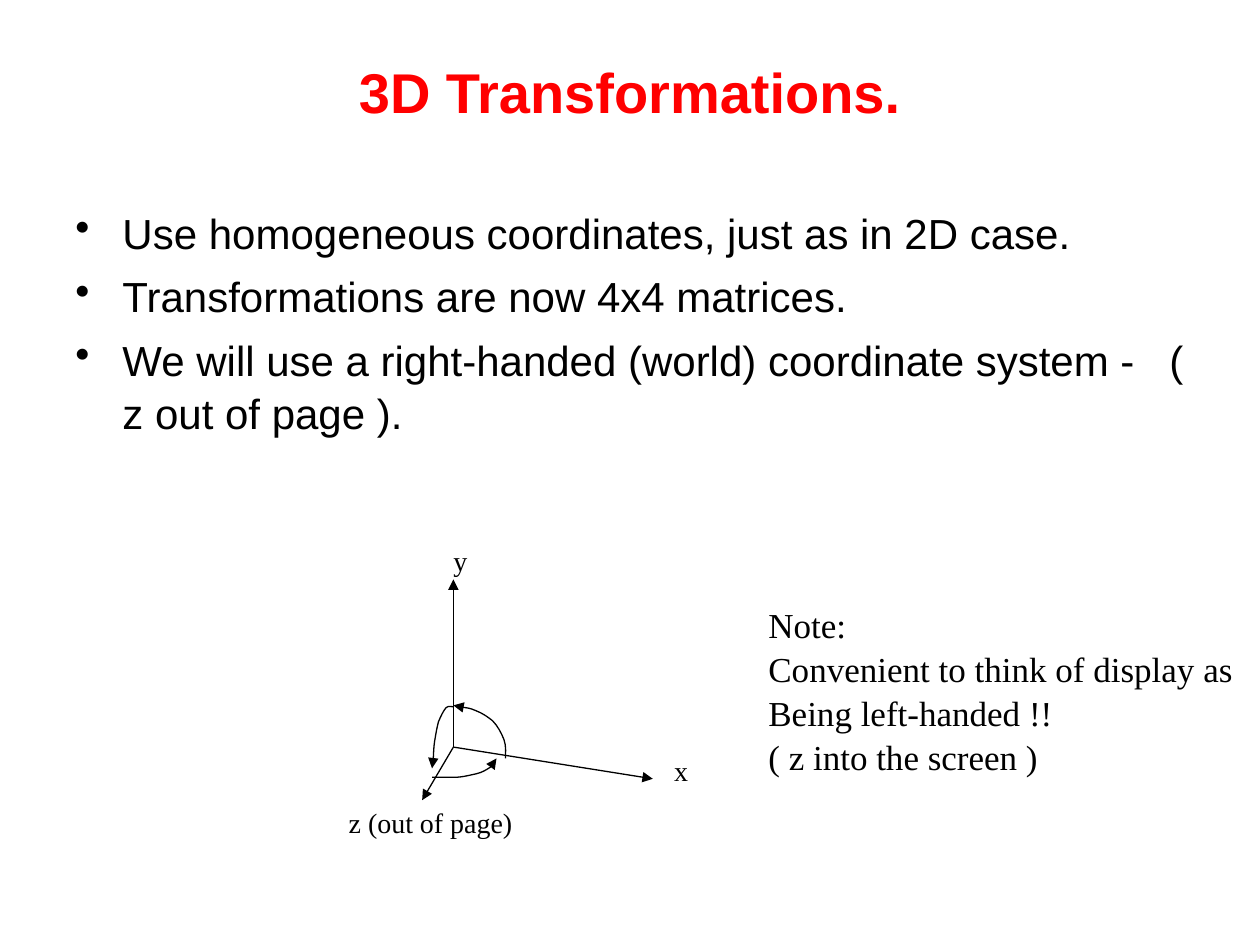
from lxml.etree import SubElement
from pptx import Presentation
from pptx.dml.color import RGBColor
from pptx.enum.shapes import MSO_CONNECTOR as Connector
from pptx.enum.text import MSO_ANCHOR as Anchor, MSO_AUTO_SIZE as AutoSize, PP_ALIGN as Align
from pptx.oxml.ns import qn
from pptx.util import Cm, Pt

COLORS = {"title": "FF0000", "ink": "000000"}
SANS, SERIF = "Arial", "Times New Roman"
LINE_SPACING = 1.05


class SlideBuilder:
    def __init__(self, slide, line_width=0.75):
        self.slide = slide
        self.line_width = Pt(line_width)

    def add_run(self, paragraph, text, font, size, color="ink", bold=False):
        run = paragraph.add_run()
        run.text = text
        run.font.name = font
        run.font.size = Pt(size)
        run.font.bold = bold
        run.font.color.rgb = RGBColor.from_string(COLORS[color])

    def add_title(self, text, left, top, width, height):
        title = self.slide.shapes.title
        title.left, title.top, title.width, title.height = map(Cm, (left, top, width, height))
        frame = title.text_frame
        frame.vertical_anchor = Anchor.MIDDLE
        paragraph = frame.paragraphs[0]
        paragraph.alignment = Align.CENTER
        self.add_run(paragraph, text, SANS, 32, "title", bold=True)

    def add_text(self, lines, left, top, width, height, font, size, wrap=False):
        box = self.slide.shapes.add_textbox(*map(Cm, (left, top, width, height)))
        frame = box.text_frame
        frame.word_wrap = wrap
        frame.auto_size = AutoSize.NONE if wrap else AutoSize.SHAPE_TO_FIT_TEXT
        for index, line in enumerate(lines):
            paragraph = frame.add_paragraph() if index else frame.paragraphs[0]
            paragraph.line_spacing = LINE_SPACING
            self.add_run(paragraph, line, font, size)
        return frame

    def add_bullets(self, lines, left, top, width, height):
        frame = self.add_text(lines, left, top, width, height, SANS, 24, wrap=True)
        for index, paragraph in enumerate(frame.paragraphs):
            properties = paragraph._p.get_or_add_pPr()
            properties.set("marL", str(Cm(0.95)))
            properties.set("indent", str(-Cm(0.95)))
            SubElement(properties, qn("a:buChar"), char="•")
            if index:
                paragraph.space_before = Pt(6)

    def style_arrow(self, arrow):
        arrow.line.color.rgb = RGBColor.from_string(COLORS["ink"])
        arrow.line.width = self.line_width
        properties = arrow._element.spPr
        SubElement(properties.find(qn("a:ln")), qn("a:tailEnd"), type="triangle")

    def add_axis(self, origin, tip):
        axis = self.slide.shapes.add_connector(
            Connector.STRAIGHT, *map(Cm, (*origin, *tip)))
        self.style_arrow(axis)
        SubElement(axis._element.spPr, qn("a:effectLst"))

    def add_curve(self, start, *points):
        """Cubic curve: every three points are two controls and an end."""
        builder = self.slide.shapes.build_freeform(Cm(start[0]), Cm(start[1]))
        builder.add_line_segments([(Cm(x), Cm(y)) for x, y in points], close=False)
        curve = builder.convert_to_shape()
        curve.fill.background()
        curve.shadow.inherit = False
        self.style_arrow(curve)
        # Merge each three straight steps into one Bezier segment
        outline = next(curve._element.iter(qn("a:path")))
        steps = outline.findall(qn("a:lnTo"))
        for first in range(0, len(steps), 3):
            bezier = SubElement(outline, qn("a:cubicBezTo"))
            for step in steps[first:first + 3]:
                bezier.append(step[0])
                outline.remove(step)


def main():
    deck = Presentation()
    deck.slide_width, deck.slide_height = Cm(25.4), Cm(19.05)
    builder = SlideBuilder(deck.slides.add_slide(deck.slide_layouts[5]))

    # Title and main points
    builder.add_title("3D Transformations.", 1.27, 0.76, 22.86, 2.16)
    builder.add_bullets([
        "Use homogeneous coordinates, just as in 2D case.",
        "Transformations are now 4x4 matrices.",
        "We will use a right-handed (world) coordinate system -   ( z out of page ).",
    ], 1.27, 4.01, 22.86, 7.42)

    # Coordinate axes
    origin = (9.14, 15.06)
    for tip in [(9.14, 11.68), (13.16, 15.7), (8.51, 16.13)]:
        builder.add_axis(origin, tip)

    # Axis labels
    for label, left, top, width in [
        ("z (out of page)", 6.78, 16.08, 3.81),
        ("y", 8.89, 10.8, 0.79),
        ("x", 13.34, 15.04, 0.79),
    ]:
        builder.add_text([label], left, top, width, 0.94, SERIF, 16)

    # Note on the display
    builder.add_text([
        "Note:",
        "Convenient to think of display as",
        "Being left-handed !!",
        "( z into the screen )",
    ], 15.24, 11.99, 9.88, 3.66, SERIF, 20)

    # Rotation directions: x to y, y to z, z to x
    builder.add_curve(
        (10.19, 15.29),
        (10.19, 15.21), (10.21, 15.04), (10.16, 14.91),
        (10.11, 14.78), (10.03, 14.63), (9.93, 14.53),
        (9.83, 14.45), (9.73, 14.38), (9.6, 14.33),
        (9.47, 14.27), (9.25, 14.25), (9.14, 14.22))
    builder.add_curve(
        (9.14, 14.25),
        (9.12, 14.25), (9.04, 14.22), (8.99, 14.27),
        (8.94, 14.33), (8.89, 14.43), (8.84, 14.55),
        (8.81, 14.66), (8.79, 14.78), (8.76, 14.96),
        (8.74, 15.11), (8.74, 15.37), (8.71, 15.49))
    builder.add_curve(
        (8.71, 15.67),
        (8.79, 15.67), (9.02, 15.67), (9.17, 15.67),
        (9.32, 15.67), (9.5, 15.62), (9.6, 15.6),
        (9.73, 15.57), (9.8, 15.52), (9.88, 15.47),
        (9.93, 15.42), (9.98, 15.34), (10.01, 15.29))

    deck.save("out.pptx")


if __name__ == "__main__":
    main()
